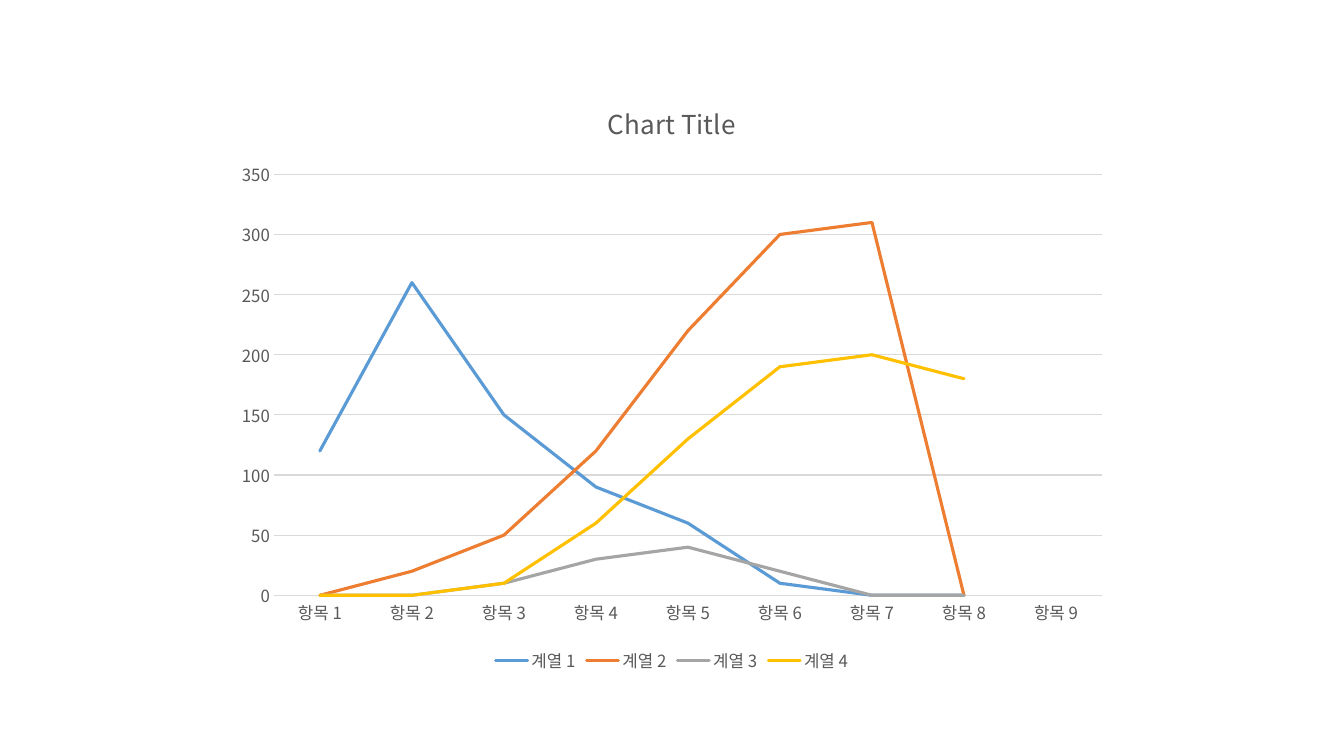
from dataclasses import dataclass

from pptx import Presentation
from pptx.chart.data import CategoryChartData
from pptx.dml.color import RGBColor
from pptx.enum.chart import XL_CHART_TYPE, XL_LEGEND_POSITION, XL_MARKER_STYLE, XL_TICK_MARK
from pptx.util import Pt

EMU_PER_PIXEL = 914400 / 100.8
LINE_CHART = XL_CHART_TYPE.LINE
LEGEND_BOTTOM = XL_LEGEND_POSITION.BOTTOM
NO_MARKER = XL_MARKER_STYLE.NONE
NO_TICK = XL_TICK_MARK.NONE
BLANK_LAYOUT = 6


def px(length):
    """Turn pixels into EMU."""
    return round(length * EMU_PER_PIXEL)


@dataclass(frozen=True)
class Theme:
    """Colours, font and sizes of the slide."""
    font: str = "Noto Sans CJK KR"
    text: str = "595959"
    rule: str = "D9D9D9"
    series: tuple = ("5B9BD5", "ED7D31", "A5A5A5", "FFC000")
    title_size: float = 18.6
    label_size: float = 12
    rule_width: float = 0.75
    series_width: float = 2.25


class SlideBuilder:
    """Draws elements on the current slide in one style."""

    def __init__(self, slide, theme):
        """Keep the slide and its theme."""
        self.slide = slide
        self.theme = theme

    def style_font(self, font, size):
        """Apply the theme font at a size."""
        font.name = self.theme.font
        font.size = Pt(size)
        font.bold = False
        font.color.rgb = RGBColor.from_string(self.theme.text)

    def style_line(self, line, color, width):
        """Apply a colour and width to a line."""
        line.color.rgb = RGBColor.from_string(color)
        line.width = Pt(width)

    def style_axes(self, chart):
        """Format both axes and the gridlines."""
        theme = self.theme
        categories, values = chart.category_axis, chart.value_axis
        for axis in (categories, values):
            axis.major_tick_mark = NO_TICK
            axis.minor_tick_mark = NO_TICK
            self.style_font(axis.tick_labels.font, theme.label_size)
        values.minimum_scale, values.maximum_scale, values.major_unit = 0, 350, 50
        values.has_major_gridlines = True
        values.format.line.fill.background()
        for line in (categories.format.line, values.major_gridlines.format.line):
            self.style_line(line, theme.rule, theme.rule_width)

    def line_chart(self, left, top, width, height, title, categories, series):
        """Add a line chart with a title and a legend below."""
        theme = self.theme
        chart_data = CategoryChartData(number_format="General")
        chart_data.categories = categories
        for name, values in series.items():
            chart_data.add_series(name, values)
        chart = self.slide.shapes.add_chart(
            LINE_CHART, px(left), px(top), px(width), px(height), chart_data).chart
        self.style_font(chart.font, theme.label_size)

        chart.has_title = True
        heading = chart.chart_title.text_frame
        heading.text = title
        self.style_font(heading.paragraphs[0].font, theme.title_size)
        chart.chart_title.include_in_layout = False

        chart.has_legend = True
        chart.legend.position = LEGEND_BOTTOM
        chart.legend.include_in_layout = False
        self.style_font(chart.legend.font, theme.label_size)

        self.style_axes(chart)
        plot = chart.plots[0]
        plot.vary_by_categories = False
        for trend, color in zip(plot.series, theme.series):
            trend.smooth = False
            trend.marker.style = NO_MARKER
            self.style_line(trend.format.line, color, theme.series_width)
            trend.format.line._get_or_add_ln().set("cap", "rnd")


def main():
    """Build the slide and save it."""
    presentation = Presentation()
    presentation.slide_width, presentation.slide_height = px(1344), px(756)
    slide = presentation.slides.add_slide(presentation.slide_layouts[BLANK_LAYOUT])
    categories = [f"항목 {number}" for number in range(1, 10)]
    series = {
        "계열 1": (120, 260, 150, 90, 60, 10, 0, 0, None),
        "계열 2": (0, 20, 50, 120, 220, 300, 310, 0, None),
        "계열 3": (0, 0, 10, 30, 40, 20, 0, 0, None),
        "계열 4": (0, 0, 10, 60, 130, 190, 200, 180, None),
    }
    SlideBuilder(slide, Theme()).line_chart(
        224, 79, 896, 598, "Chart Title", categories, series)
    presentation.save("out.pptx")


main()
